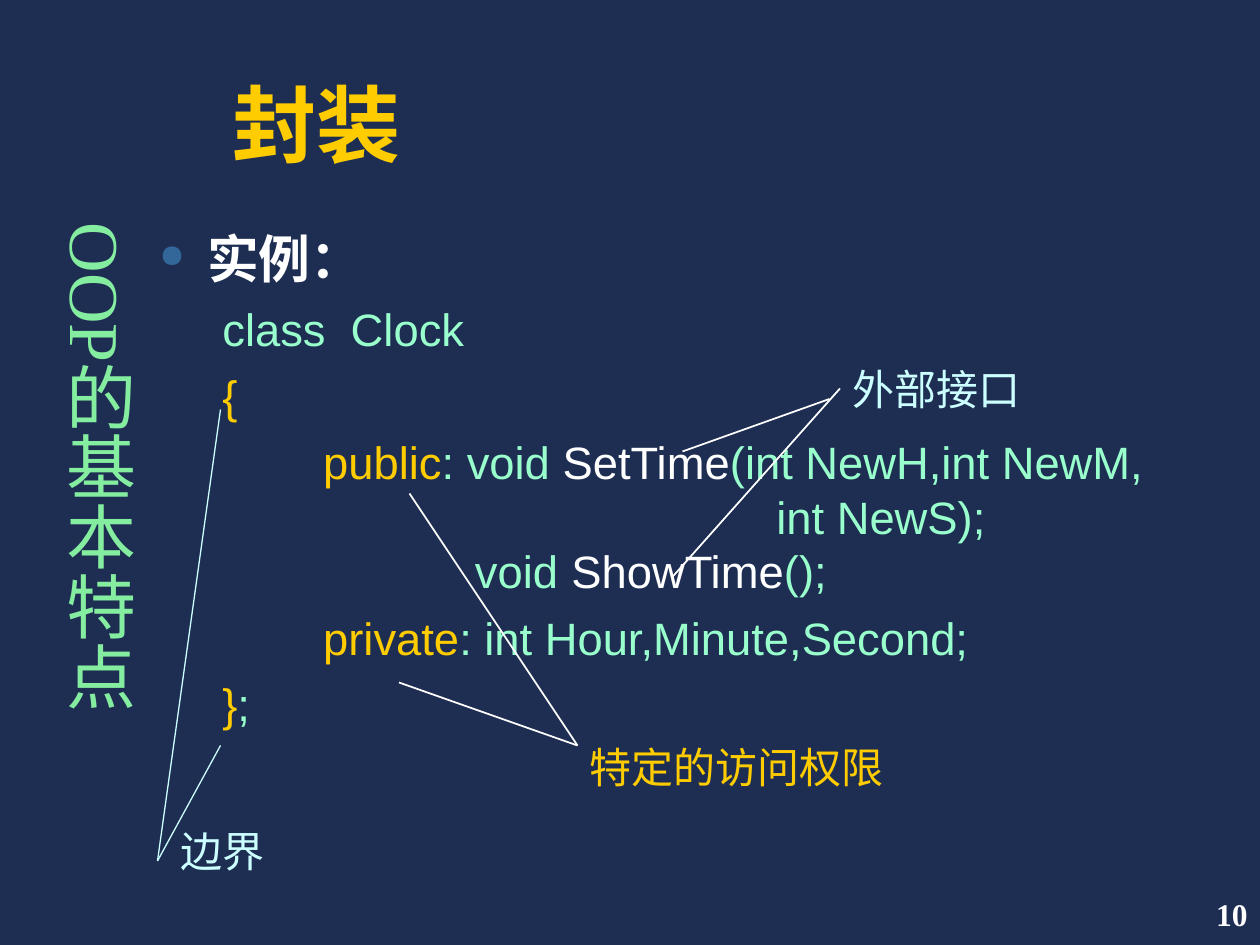
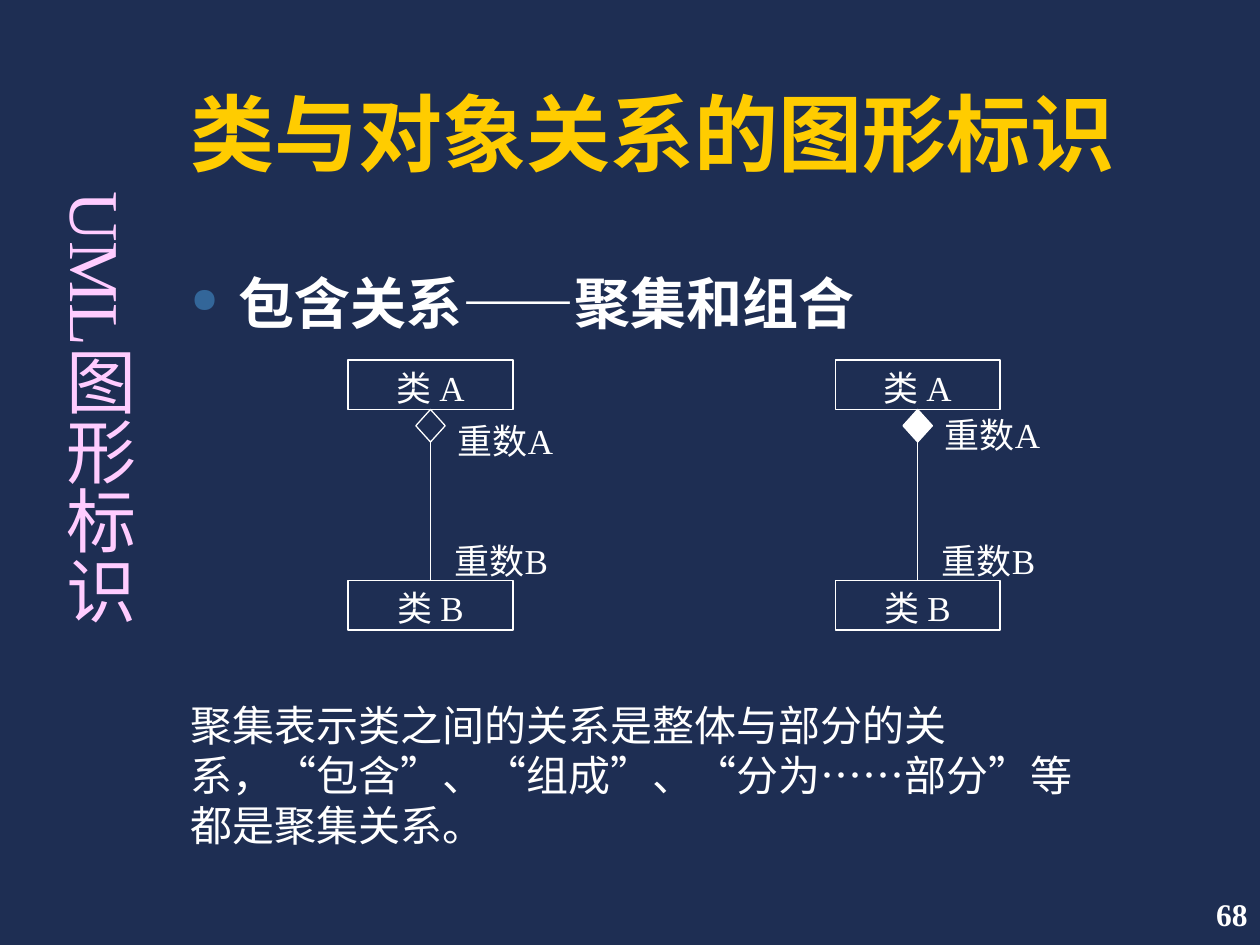
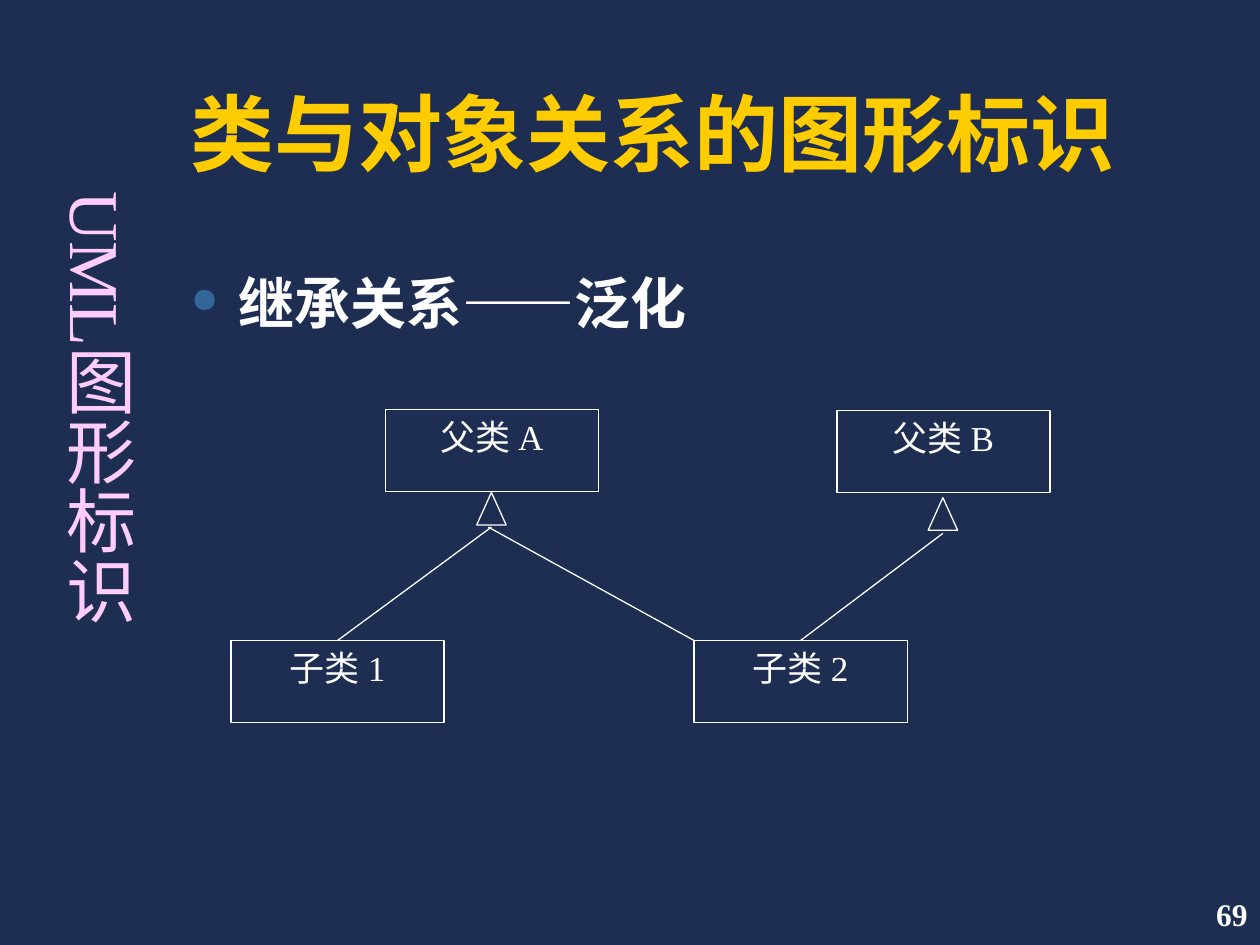
from typing import NamedTuple

from lxml.etree import SubElement
from pptx import Presentation
from pptx.dml.color import RGBColor
from pptx.enum.shapes import MSO_CONNECTOR, MSO_SHAPE
from pptx.enum.text import MSO_ANCHOR, MSO_AUTO_SIZE, PP_ALIGN
from pptx.oxml.ns import qn
from pptx.util import Inches, Pt

NAVY = RGBColor(0x1E, 0x2E, 0x53)
WHITE = RGBColor(0xFF, 0xFF, 0xFF)
GOLD = RGBColor(0xFF, 0xCC, 0x00)
MINT = RGBColor(0x99, 0xFF, 0xCC)
ICE = RGBColor(0xCC, 0xFF, 0xFF)
GREEN = RGBColor(0x85, 0xED, 0xA0)
PINK = RGBColor(0xFF, 0xCC, 0xFF)
BLUE = RGBColor(0x33, 0x66, 0x99)

SANS, SERIF = "Arial", "Times New Roman"

# The slide is a grid of 120 columns by 90 rows
WIDTH, HEIGHT = Inches(10), Inches(7.5)
COLS, ROWS = 120, 90


class Area(NamedTuple):
    col: float
    row: float
    wide: float
    high: float


class Spot(NamedTuple):
    col: float
    row: float


class Style(NamedTuple):
    size: float
    color: RGBColor = WHITE
    font: str = SERIF
    bold: bool = False
    align: PP_ALIGN = PP_ALIGN.LEFT


class Note(NamedTuple):
    text: str
    area: Area
    color: RGBColor


class Link(NamedTuple):
    start: Spot
    end: Spot
    color: RGBColor
    weight: float


class Whole(NamedTuple):
    axis: float
    filled: bool
    label: float


TITLE = Style(48, GOLD, SANS, True)
PAGE = Style(18, WHITE, SERIF, True, PP_ALIGN.RIGHT)
HEAD = Style(32, WHITE, SANS, True)
NODE = Style(20, align=PP_ALIGN.CENTER)
COUNT = Style(20, align=PP_ALIGN.JUSTIFY)
THIN = 0.75


def across(cols: float) -> int:
    return round(WIDTH * cols / COLS)


def down(rows: float) -> int:
    return round(HEIGHT * rows / ROWS)


def place(area: Area) -> tuple:
    return across(area.col), down(area.row), across(area.wide), down(area.high)


# Text
def ink(run, style: Style, color=None) -> None:
    font = run.font
    font.size, font.name, font.bold = Pt(style.size), style.font, style.bold
    font.color.rgb = color or style.color


def fill_text(frame, text: str, style: Style) -> None:
    frame.text = text
    para = frame.paragraphs[0]
    para.alignment = style.align
    for run in para.runs:
        ink(run, style)


def add_text(slide, area: Area, text: str, style: Style, grow: bool = False):
    frame = slide.shapes.add_textbox(*place(area)).text_frame
    frame.word_wrap = True
    if grow:
        frame.auto_size = MSO_AUTO_SIZE.SHAPE_TO_FIT_TEXT
    fill_text(frame, text, style)
    return frame


def add_head(slide, area: Area, text: str, style: Style):
    frame = add_text(slide, area, text, style)
    props = frame.paragraphs[0]._p.get_or_add_pPr()
    props.set("marL", str(Inches(0.38)))
    props.set("indent", str(-Inches(0.38)))
    tint = SubElement(props, qn("a:buClr"))
    SubElement(tint, qn("a:srgbClr"), val=str(BLUE))
    SubElement(props, qn("a:buSzPct"), val="62000")
    SubElement(props, qn("a:buChar"), char="●")
    return frame


def add_code(frame, pieces: list, style: Style) -> None:
    para = frame.add_paragraph()
    props = para._p.get_or_add_pPr()
    props.set("marL", str(Inches(0.81)))
    props.set("indent", str(-Inches(0.31)))
    para.space_before = Pt(7)
    for text, color in pieces:
        for num, part in enumerate(text.split("\n")):
            if num:
                para.add_line_break()
            run = para.add_run()
            run.text = part
            ink(run, style, color)


# Shapes and lines
def add_form(slide, kind, area: Area, text: str = "", filled: bool = False):
    shape = slide.shapes.add_shape(kind, *place(area))
    shape.shadow.inherit = False
    if filled:
        shape.fill.solid()
        shape.fill.fore_color.rgb = WHITE
    else:
        shape.fill.background()
    shape.line.color.rgb = WHITE
    shape.line.width = Pt(THIN)
    if text:
        shape.text_frame.vertical_anchor = MSO_ANCHOR.TOP
        fill_text(shape.text_frame, text, NODE)
    return shape


def add_link(slide, link: Link):
    line = slide.shapes.add_connector(
        MSO_CONNECTOR.STRAIGHT,
        across(link.start.col), down(link.start.row),
        across(link.end.col), down(link.end.row))
    line.line.color.rgb = link.color
    line.line.width = Pt(link.weight)
    SubElement(line._element.spPr, qn("a:effectLst"))
    return line


# Parts shared by every slide
def add_base(deck, page: str, title: str, spot: Area, side: str, top: float, tone):
    slide = deck.slides.add_slide(deck.slide_layouts[6])
    frame = add_text(slide, Area(95, 84, 25, 6), page, PAGE)
    frame.word_wrap = False
    frame.vertical_anchor = MSO_ANCHOR.MIDDLE
    head = add_text(slide, spot, title, TITLE)
    head.vertical_anchor = MSO_ANCHOR.BOTTOM

    band = add_text(slide, Area(3.7, top, 10.3, 62), side,
                    Style(40, tone, align=PP_ALIGN.CENTER))
    band.margin_left = band.margin_right = Inches(0.05)
    band.margin_top = band.margin_bottom = Inches(0.1)
    band._txBody.bodyPr.set("vert", "eaVert")
    return slide, head


def add_uml(deck, page: str, head: str):
    slide, _ = add_base(deck, page, "类与对象关系的图形标识", Area(17, 3, 94, 15),
                        "UML图形标识", 17, PINK)
    add_head(slide, Area(17, 25, 95, 54), head, HEAD)
    return slide


# Slide: encapsulation
def draw_clock(deck) -> None:
    slide, head = add_base(deck, "10", "封装", Area(21, 6, 91, 11),
                           "OOP的基本特点", 20, GREEN)
    head.paragraphs[0].line_spacing = 0.8

    body = add_head(slide, Area(14, 21, 107, 51), "实例：",
                    Style(29.6, WHITE, SANS, True))
    code = [
        [("class  Clock", MINT)],
        [("{", GOLD)],
        [("        ", MINT), ("public", GOLD), (": void ", MINT),
         ("SetTime", WHITE),
         ("(int NewH,int NewM,\n"
          "                                         int NewS);\n"
          "                 void ", MINT),
         ("ShowTime", WHITE), ("();", MINT)],
        [("        ", MINT), ("private", GOLD),
         (": int Hour,Minute,Second;", MINT)],
        [("}", GOLD), (";", MINT)],
    ]
    for pieces in code:
        add_code(body, pieces, Style(25.9, MINT, SANS))

    notes = [
        Note("边界", Area(16, 78, 12, 6), ICE),
        Note("特定的访问权限", Area(55, 70, 31, 6), GOLD),
        Note("外部接口", Area(80, 34, 21, 6), ICE),
    ]
    for note in notes:
        add_text(slide, note.area, note.text, Style(24, note.color), True)

    edge, right = Spot(15, 82), Spot(55, 71)
    links = [
        Link(Spot(21, 39), edge, ICE, THIN),
        Link(Spot(21, 71), edge, ICE, THIN),
        Link(Spot(64, 55), Spot(80, 37), WHITE, 1),
        Link(Spot(65, 43), Spot(79, 38), WHITE, 1),
        Link(Spot(39, 47), right, WHITE, 1),
        Link(Spot(38, 65), right, WHITE, 1),
    ]
    for link in links:
        add_link(slide, link)


# Slide: aggregation and composition
def draw_whole(slide, whole: Whole) -> None:
    axis, wide, high = whole.axis, 15.7, 4.7
    left = axis - wide / 2
    add_form(slide, MSO_SHAPE.RECTANGLE, Area(left, 34.3, wide, high), "类 A")
    part = add_form(slide, MSO_SHAPE.RECTANGLE, Area(left, 55.3, wide, high), "类 B")
    gem = add_form(slide, MSO_SHAPE.DIAMOND, Area(axis - 1.4, 39, 2.8, 3.1),
                   filled=whole.filled)
    line = add_link(slide, Link(Spot(axis, 42.1), Spot(axis, 55.3), WHITE, THIN))
    line.begin_connect(gem, 2)
    line.end_connect(part, 0)
    add_text(slide, Area(axis + 1.4, whole.label, wide, 5), "重数A", COUNT)
    add_text(slide, Area(axis + 1.1, 50.8, wide, 5), "重数B", COUNT)


def draw_parts(deck) -> None:
    slide = add_uml(deck, "68", "包含关系——聚集和组合")
    for whole in (Whole(41, False, 39.4), Whole(87.4, True, 38.8)):
        draw_whole(slide, whole)
    add_text(slide, Area(17, 66, 90, 23),
             "聚集表示类之间的关系是整体与部分的关\v系，“包含”、“组成”、"
             "“分为……部分”等都是聚集关系。", Style(24), True)


# Slide: inheritance
def draw_heirs(deck) -> None:
    slide = add_uml(deck, "69", "继承关系——泛化")
    spots = {
        "父类 A": Spot(36.7, 39), "父类 B": Spot(79.7, 39.1),
        "子类 1": Spot(22, 61), "子类 2": Spot(66.1, 61),
    }
    nodes = {name: add_form(slide, MSO_SHAPE.RECTANGLE, Area(*spot, 20.3, 7.8), name)
             for name, spot in spots.items()}
    for spot in (Spot(45.4, 46.9), Spot(88.4, 47.4)):
        add_form(slide, MSO_SHAPE.ISOSCELES_TRIANGLE, Area(*spot, 2.8, 3.1))

    add_link(slide, Link(Spot(46.5, 50.2), spots["子类 2"], WHITE, THIN))
    for start, name in ((Spot(46.8, 50.2), "子类 1"), (Spot(89.8, 50.8), "子类 2")):
        line = add_link(slide, Link(start, spots[name], WHITE, THIN))
        line.end_connect(nodes[name], 0)


def main() -> None:
    deck = Presentation()
    deck.slide_width, deck.slide_height = WIDTH, HEIGHT
    back = deck.slide_master.background.fill
    back.solid()
    back.fore_color.rgb = NAVY
    draw_clock(deck)
    draw_parts(deck)
    draw_heirs(deck)
    deck.save("out.pptx")


if __name__ == "__main__":
    main()
